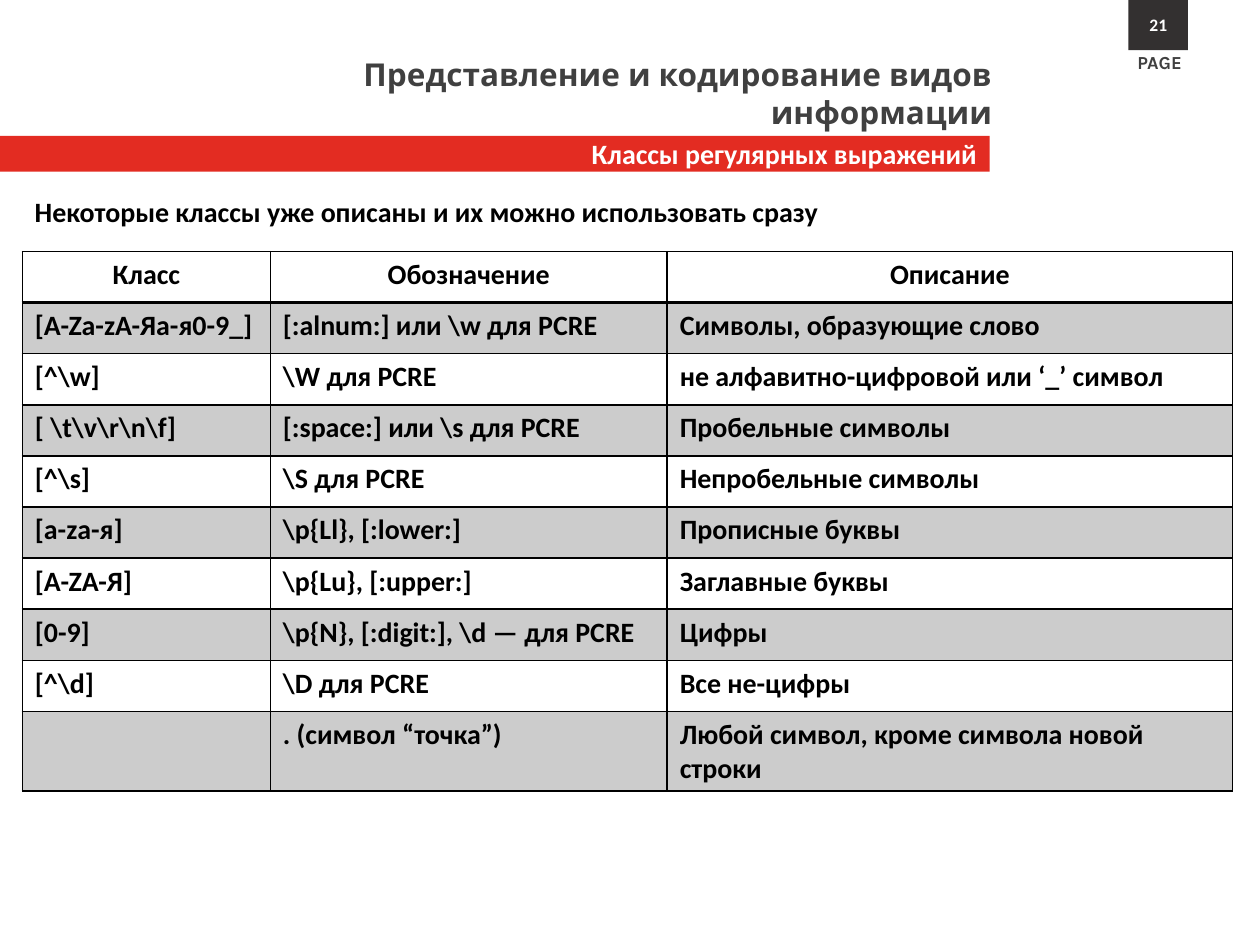
from lxml import etree
from pptx import Presentation
from pptx.dml.color import RGBColor
from pptx.enum import shapes, text
from pptx.oxml import ns
from pptx.util import Cm, Pt

BLACK = RGBColor(0x00, 0x00, 0x00)
WHITE = RGBColor(0xFF, 0xFF, 0xFF)
GRAY = RGBColor(0x40, 0x40, 0x40)
DARK = RGBColor(0x33, 0x30, 0x30)
RED = RGBColor(0xE3, 0x2C, 0x22)
LEFT, CENTER, RIGHT = text.PP_ALIGN.LEFT, text.PP_ALIGN.CENTER, text.PP_ALIGN.RIGHT


def write(tf, content, size, font, color, align):
    tf.text = content
    p = tf.paragraphs[0]
    p.alignment = align
    for r in p.runs:
        r.font.size = Pt(size)
        r.font.name = font
        r.font.bold = True
        r.font.color.rgb = color


def add_border(tc_pr, side, width):
    ln = etree.SubElement(tc_pr, ns.qn(f"a:ln{side}"), w=str(Pt(width)))
    fill = etree.SubElement(ln, ns.qn("a:solidFill"))
    etree.SubElement(fill, ns.qn("a:srgbClr"), val=str(BLACK))


prs = Presentation()
prs.slide_width, prs.slide_height = Cm(25.4), Cm(19.05)
s = prs.slides.add_slide(prs.slide_layouts[6])

# Subtitle bar and page number
for box, fill, content, size, align in [
    ((0, 2.74, 19.95, 0.72), RED, "Классы регулярных выражений", 16, RIGHT),
    ((22.75, 0, 1.2, 1.01), DARK, "21", 10, CENTER),
]:
    sp = s.shapes.add_shape(shapes.MSO_SHAPE.RECTANGLE, *map(Cm, box))
    sp.shadow.inherit = False
    sp.fill.solid()
    sp.fill.fore_color.rgb = fill
    sp.line.fill.background()
    sp.text_frame.vertical_anchor = text.MSO_ANCHOR.MIDDLE
    write(sp.text_frame, content, size, "Calibri", WHITE, align)

# Page label, title and lead sentence
for box, content, size, font, color, align, wrap in [
    ((22.68, 0.91, 1.5, 0.7), "PAGE", 10.5, "Karla", GRAY, LEFT, False),
    ((2.9, 0.99, 17.35, 1.02), "Представление и кодирование видов информации",
     18, "Karla", GRAY, RIGHT, True),
    ((0.45, 3.79, 24.4, 1.0), "Некоторые классы уже описаны и их можно использовать сразу",
     16, "Calibri", BLACK, text.PP_ALIGN.JUSTIFY, True),
]:
    tf = s.shapes.add_textbox(*map(Cm, box)).text_frame
    tf.word_wrap = wrap
    write(tf, content, size, font, color, align)

# Table of character classes
rows = [
    ("Класс", "Обозначение", "Описание"),
    ("[A-Za-zА-Яа-я0-9_]", r"[:alnum:] или \w для PCRE", "Символы, образующие слово"),
    (r"[^\w]", r"\W для PCRE", "не алфавитно-цифровой или ‘_’ символ"),
    (r"[ \t\v\r\n\f]", r"[:space:] или \s для PCRE", "Пробельные символы"),
    (r"[^\s]", r"\S для PCRE", "Непробельные символы"),
    ("[a-zа-я]", r"\p{Ll}, [:lower:]", "Прописные буквы"),
    ("[A-ZА-Я]", r"\p{Lu}, [:upper:]", "Заглавные буквы"),
    ("[0-9]", r"\p{N}, [:digit:], \d — для PCRE", "Цифры"),
    (r"[^\d]", r"\D для PCRE", "Все не-цифры"),
    ("", ". (символ “точка”)", "Любой символ, кроме символа новой строки"),
]
table = s.shapes.add_table(len(rows), 3, Cm(0.45), Cm(5.07), Cm(24.4), Cm(10.3)).table
for col, width in zip(table.columns, (5, 8, 11.4)):
    col.width = Cm(width)

for i, row in enumerate(rows):
    table.rows[i].height = Cm(1.03)
    for j, content in enumerate(row):
        cell = table.cell(i, j)
        write(cell.text_frame, content, 16, "Calibri", BLACK, LEFT if i else CENTER)
        tc_pr = cell._tc.get_or_add_tcPr()
        for side in "LRTB":
            thick = (i, side) in ((0, "B"), (1, "T"))
            add_border(tc_pr, side, 2 if thick else 1)
        if i % 2:
            cell.fill.solid()
            cell.fill.fore_color.rgb = BLACK
            clr = tc_pr.find(ns.qn("a:solidFill")).find(ns.qn("a:srgbClr"))
            etree.SubElement(clr, ns.qn("a:alpha"), val="20000")
        else:
            cell.fill.background()

prs.save("out.pptx")
